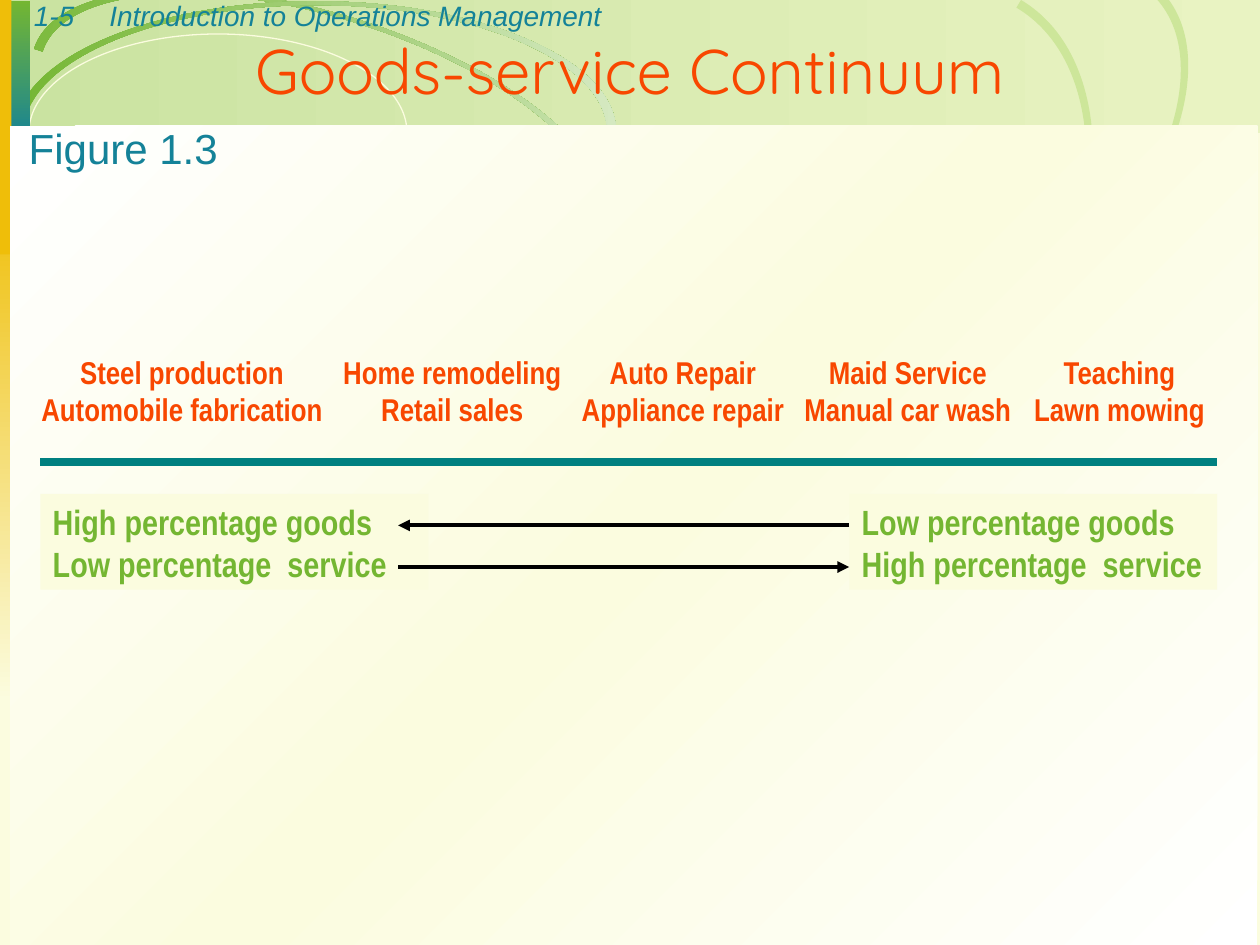
from lxml import etree
from pptx import Presentation
from pptx.dml.color import RGBColor
from pptx.enum.shapes import MSO_CONNECTOR, MSO_SHAPE
from pptx.enum.text import MSO_ANCHOR, MSO_AUTO_SIZE, PP_ALIGN
from pptx.oxml.ns import qn
from pptx.util import Pt

RECT, OVAL = MSO_SHAPE.RECTANGLE, MSO_SHAPE.OVAL
STRAIGHT = MSO_CONNECTOR.STRAIGHT
LEFT, CENTER = PP_ALIGN.LEFT, PP_ALIGN.CENTER
TOP = MSO_ANCHOR.TOP
GROW = MSO_AUTO_SIZE.SHAPE_TO_FIT_TEXT

SCALE = 9144
KAPPA = 0.55
RING_INNER = 0.97
COLORS = {
    "cream": "FBFCDF", "white": "FFFFFF", "band_left": "CAE3A1",
    "band_right": "E9F3C2", "green": "74B632", "pale": "D5E9C1",
    "lime": "CDE69A", "teal": "148298", "gold": "EFBE09",
    "orange": "F84700", "axis": "008080", "black": "000000",
}


def px(n):
    return round(n * SCALE)


def rgb(name):
    return RGBColor.from_string(COLORS[name])


def half_ellipse(radius):
    k = KAPPA
    unit = [(-1, 0), (-1, -k), (-k, -1), (0, -1), (k, -1), (1, -k), (1, 0)]
    return [(x * radius, y * radius) for x, y in unit]


def write(tf, text, font="Arial", size=16, color="teal", bold=False,
          italic=False, align=LEFT, wrap=True):
    tf.text = text
    tf.word_wrap = wrap
    tf.auto_size = GROW
    tf.vertical_anchor = TOP
    for p in tf.paragraphs:
        p.alignment = align
        for r in p.runs:
            r.font.name, r.font.size = font, Pt(size)
            r.font.bold, r.font.italic = bold, italic
            r.font.color.rgb = rgb(color)


class Deck:
    def __init__(self, width, height, background):
        self.prs = Presentation()
        self.prs.slide_width, self.prs.slide_height = px(width), px(height)
        self.s = self.prs.slides.add_slide(self.prs.slide_layouts[6])
        fill = self.s.background.fill
        fill.solid()
        fill.fore_color.rgb = rgb(background)

    def paint(self, sp, fill, angle=0, line=None):
        sp.shadow.inherit = False
        if not fill:
            sp.fill.background()
        elif len(fill) == 1:
            sp.fill.solid()
            sp.fill.fore_color.rgb = rgb(fill[0])
        else:
            sp.fill.gradient()
            sp.fill.gradient_angle = -angle % 360
            stops = sp._element.spPr.find(qn("a:gradFill")).find(qn("a:gsLst"))
            for gs in list(stops):
                stops.remove(gs)
            for i, name in enumerate(fill):
                pos = str(100000 * i // (len(fill) - 1))
                gs = etree.SubElement(stops, qn("a:gs"), pos=pos)
                etree.SubElement(gs, qn("a:srgbClr"), val=COLORS[name])
        if line:
            sp.line.color.rgb = rgb(line)
            sp.line.width = Pt(0.75)
        else:
            sp.line.fill.background()

    def shape(self, kind, x, y, w, h, *fill, **look):
        sp = self.s.shapes.add_shape(kind, px(x), px(y), px(w), px(h))
        self.paint(sp, fill, **look)
        return sp

    def arc(self, x, y, w, h, rotation, *fill):
        ring = half_ellipse(RING_INNER) + half_ellipse(1)[::-1]
        points = [(px(x + w / 2 * (1 + u)), px(y + h / 2 * (1 + v))) for u, v in ring]
        fb = self.s.shapes.build_freeform(*points[0], scale=1)
        fb.add_line_segments(points[1:], close=True)
        sp = fb.convert_to_shape()
        path = next(sp._element.iter(qn("a:path")))
        segments = path.findall(qn("a:lnTo"))
        for i in (0, 3, 7, 10):
            curve = etree.Element(qn("a:cubicBezTo"))
            segments[i].addprevious(curve)
            for segment in segments[i:i + 3]:
                curve.append(segment[0])
                path.remove(segment)
        path.set("h", str(px(h)))
        sp.height = px(h)
        sp.rotation = rotation
        self.paint(sp, fill)

    def text(self, text, x, y, w, h, **style):
        sp = self.s.shapes.add_textbox(px(x), px(y), px(w), px(h))
        write(sp.text_frame, text, **style)

    def line(self, x1, x2, y, color, width, arrow=False):
        cn = self.s.shapes.add_connector(STRAIGHT, px(x1), px(y), px(x2), px(y))
        cn.line.color.rgb = rgb(color)
        cn.line.width = Pt(width)
        if arrow:
            etree.SubElement(cn.line._get_or_add_ln(), qn("a:tailEnd"), type="triangle")
        etree.SubElement(cn._element.spPr, qn("a:effectLst"))


def draw_backdrop(d):
    d.shape(RECT, 1, 0, 1000, 106, "band_left", "band_right")
    d.arc(16, 11, 477, 199, 17.5, "green", "pale")
    d.shape(OVAL, 23, 27, 300, 156, line="cream")
    d.shape(RECT, 0, 155, 22, 401, "gold", "cream", angle=90)
    d.arc(507, 24, 477, 259, 138.2, "lime")
    d.arc(450, 52, 477, 306, 120.7, "lime")
    d.arc(12, 1, 477, 207, 0, "green", "pale")
    d.shape(RECT, 1, 1, 23, 114, "green", "teal", angle=90)
    d.shape(RECT, 0, 0, 9, 202, "gold")
    d.shape(RECT, 8, 100, 990, 650, "white", "cream", "white", angle=45)


def main():
    d = Deck(1000, 750, "cream")
    draw_backdrop(d)
    d.text("1-5", 17, -6, 92, 37, italic=True)
    d.text("Introduction to Operations Management", 77, -6, 867, 37, italic=True)

    examples = [
        ("Steel production\vAutomobile fabrication", 23, 243),
        ("Home remodeling\vRetail sales", 262, 194),
        ("Auto Repair\nAppliance repair", 451, 182),
        ("Maid Service\nManual car wash", 628, 185),
        ("Teaching\nLawn mowing", 810, 157),
    ]
    for label, x, w in examples:
        d.text(label, x, 275, w, 70, font="Arial Narrow", size=18,
               color="orange", bold=True, align=CENTER, wrap=False)
    d.line(32, 966, 367, "axis", 4.5)

    ends = [
        ("High percentage goods\nLow percentage  service", 32, 308),
        ("Low percentage goods\nHigh percentage  service", 674, 292),
    ]
    for label, x, w in ends:
        sp = d.shape(RECT, x, 392, w, 76, "cream")
        write(sp.text_frame, label, font="Arial Narrow", size=20, color="green", bold=True)

    d.text("Goods-service Continuum", 0, 20, 1000, 70,
           font="Quicksand", size=36, color="orange", align=CENTER)
    d.text("Figure 1.3", 13, 92, 170, 50, size=24, wrap=False)
    d.line(674, 316, 417, "black", 2.25, arrow=True)
    d.line(316, 674, 450, "black", 2.25, arrow=True)
    d.prs.save("out.pptx")


if __name__ == "__main__":
    main()
